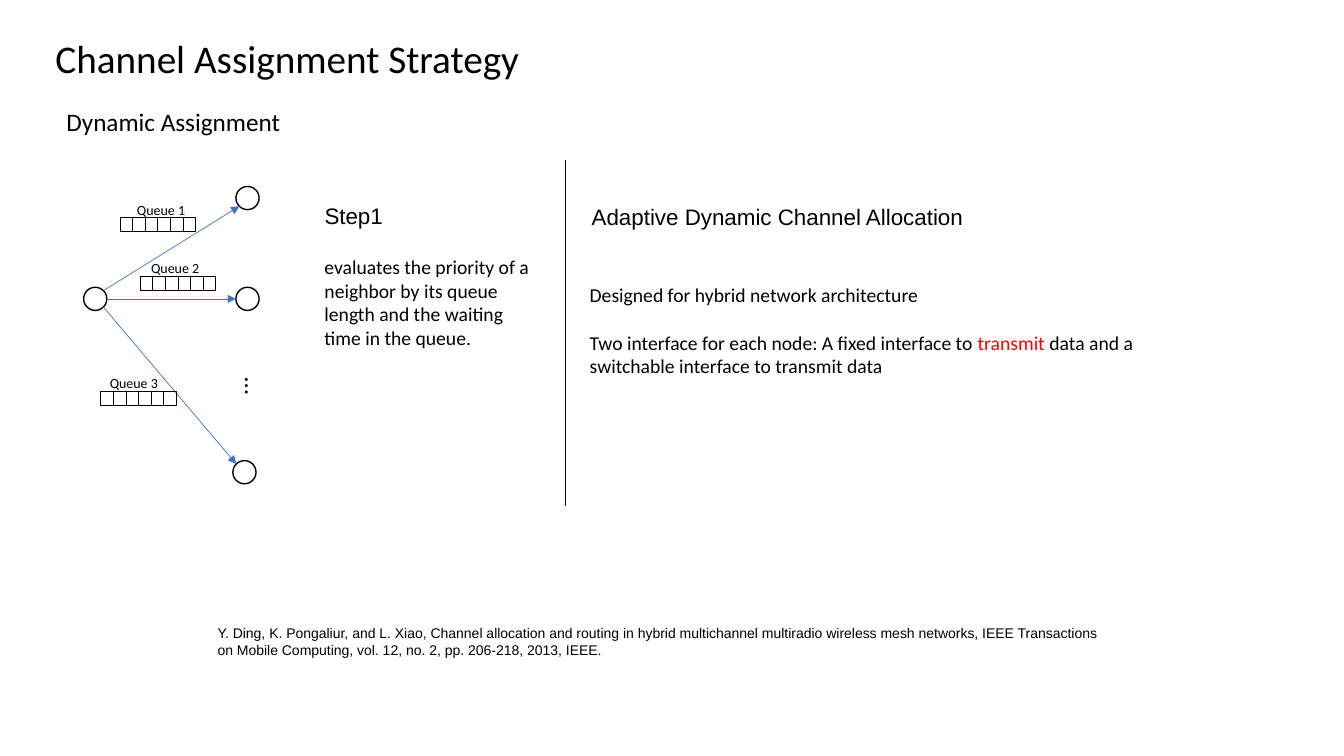
from math import sqrt

from lxml import etree
from pptx import Presentation
from pptx.dml.color import RGBColor
from pptx.enum.shapes import MSO_CONNECTOR, MSO_SHAPE
from pptx.enum.text import MSO_ANCHOR, PP_ALIGN
from pptx.oxml.ns import qn
from pptx.util import Emu, Pt

LEFT, TOP = PP_ALIGN.LEFT, MSO_ANCHOR.TOP
OVAL, RECT = MSO_SHAPE.OVAL, MSO_SHAPE.RECTANGLE
STRAIGHT = MSO_CONNECTOR.STRAIGHT
BLACK, WHITE, RED, BLUE = "000000", "FFFFFF", "FF0000", "4472C4"
SCALE = 9144  # 100 px to the inch
NODE = 23
CELLS = 6


def px(n):
    return Emu(round(n * SCALE))


def color(code):
    return RGBColor.from_string(code)


def place(shape, box):
    shape.left, shape.top, shape.width, shape.height = map(px, box)


def write(slide, box, paras, size=14, font="Calibri", wrap=True, gap=0, turn=0, shape=None):
    """Each paragraph is a string or a list of (text, color) runs."""
    shape = shape or slide.shapes.add_textbox(0, 0, 0, 0)
    place(shape, box)
    shape.rotation = turn
    frame = shape.text_frame
    frame.word_wrap = wrap
    frame.vertical_anchor = TOP
    for i, runs in enumerate([paras] if isinstance(paras, str) else paras):
        para = frame.add_paragraph() if i else frame.paragraphs[0]
        para.alignment = LEFT
        para.space_before = Pt(gap if i else 0)
        for text, code in [(runs, BLACK)] if isinstance(runs, str) else runs:
            run = para.add_run()
            run.text = text
            run.font.size = Pt(size)
            run.font.name = font
            run.font.color.rgb = color(code)


def draw(slide, kind, box, width, fill=None):
    shape = slide.shapes.add_shape(kind, *map(px, box))
    shape.shadow.inherit = False
    if fill:
        shape.fill.solid()
        shape.fill.fore_color.rgb = color(fill)
    else:
        shape.fill.background()
    shape.line.color.rgb = color(BLACK)
    shape.line.width = Pt(width)


def join(slide, start, end, code, arrow=False):
    line = slide.shapes.add_connector(STRAIGHT, *map(px, start + end))
    line.line.color.rgb = color(code)
    line.line.width = Pt(0.5)
    props = line._element.spPr
    if arrow:
        etree.SubElement(props.find(qn("a:ln")), qn("a:tailEnd"), type="triangle")
    etree.SubElement(props, qn("a:effectLst"))


def queue(slide, x, y, name, shift):
    """A row of cells, with its label shifted sideways above it."""
    wide = 75 / CELLS
    for i in range(CELLS):
        draw(slide, RECT, (x + i * wide, y, wide, 14), 0.5)
    write(slide, (x + shift, y - 21, 69, 27), name, size=10, wrap=False)


def network(slide, x, y):
    """One sender, three receivers and a queue on each link."""
    hub = (x, y + 100)
    peers = [(x + 151, y, -1), (x + 151, y + 100, 0), (x + 148, y + 272, 1)]
    for left, top in [hub] + [peer[:2] for peer in peers]:
        draw(slide, OVAL, (left, top, NODE, NODE), 1, WHITE)
    write(slide, (x + 152, y + 178, 36, 40), "…", size=18, turn=90)

    # Links leave and enter at the side or the diagonal of a circle
    half = NODE / 2
    for left, top, side in peers:
        dx = half / sqrt(2) if side else half
        dy = side * half / sqrt(2)
        start = (hub[0] + half + dx, hub[1] + half + dy)
        end = (left + half - dx, top + half - dy)
        join(slide, start, end, BLUE, arrow=True)

    for i, (dx, dy, shift) in enumerate([(36, 31, 7), (56, 89, 1), (17, 203, -1)], 1):
        queue(slide, x + dx, y + dy, f"Queue {i}", shift)


def step(slide, x, y):
    write(slide, (x, y, 205, 37), "Step1", size=16, font="Arial")
    write(slide, (x, y + 52, 233, 128),
          "evaluates the priority of a neighbor by its queue length "
          "and the waiting time in the queue.")


def method(slide, x, y):
    write(slide, (x + 2, y, 631, 37), "Adaptive Dynamic Channel Allocation",
          size=16, font="Arial")
    write(slide, (x, y + 79, 621, 151), [
        "Designed for hybrid network architecture",
        [("Two interface for each node: A fixed interface to ", BLACK),
         ("transmit", RED),
         (" data and a switchable interface to transmit data", BLACK)],
    ], gap=17)


def main():
    deck = Presentation()
    deck.slide_width, deck.slide_height = px(1333), px(750)
    slide = deck.slides.add_slide(deck.slide_layouts[5])

    # Headings
    write(slide, (45, 29, 485, 57), "Channel Assignment Strategy", size=28,
          wrap=False, shape=slide.shapes.title)
    write(slide, (56, 101, 461, 40), "Dynamic Assignment", size=18)

    # Body, split by a rule
    network(slide, 83, 185)
    step(slide, 312, 196)
    join(slide, (561, 159), (561, 502), BLACK)
    method(slide, 575, 197)

    # Reference
    write(slide, (206, 615, 897, 44),
          "Y. Ding, K. Pongaliur, and L. Xiao, Channel allocation and routing in "
          "hybrid multichannel multiradio wireless mesh networks, IEEE Transactions "
          "on Mobile Computing, vol. 12, no. 2, pp. 206-218, 2013, IEEE.",
          size=10, font="Arial")

    deck.save("out.pptx")


if __name__ == "__main__":
    main()
